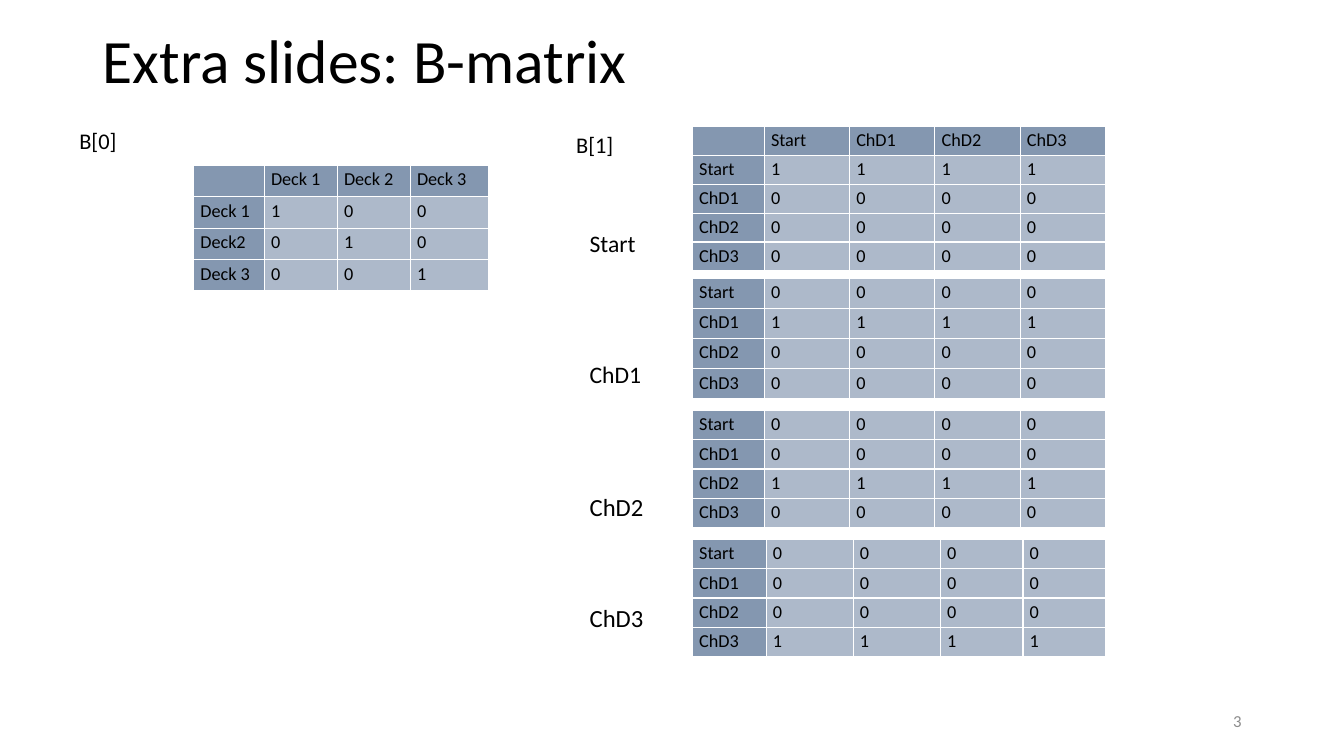
from dataclasses import dataclass

from pptx import Presentation
from pptx.dml.color import RGBColor
from pptx.enum.text import MSO_ANCHOR as Anchor, MSO_AUTO_SIZE as AutoSize, PP_ALIGN as Align
from pptx.util import Cm, Pt


@dataclass(frozen=True)
class Theme:
    """Colours, font and type sizes of the slide."""
    font: str = "Calibri"
    ink: str = "000000"
    muted: str = "8C8C8C"
    heading_fill: str = "8497B0"
    value_fill: str = "ADB9CA"
    title_size: float = 44
    label_size: float = 16
    state_size: float = 16.9
    large_state_size: float = 17.6
    table_size: float = 13
    number_size: float = 12


THEME = Theme()
DECKS = ["Deck 1", "Deck 2", "Deck 3"]
DECK_ROWS = ["Deck 1", "Deck2", "Deck 3"]
STATES = ["Start", "ChD1", "ChD2", "ChD3"]
DECK_COLUMNS = [1.78, 1.84, 1.84, 1.97]
STATE_COLUMNS = [1.81, 2.15, 2.15, 2.15, 2.15]
LAST_COLUMNS = [1.86, 2.19, 2.2, 2.08, 2.07]
ACTIONS = [
    (3.18, 0.73, STATE_COLUMNS, 5.51, 2.41, THEME.state_size),
    (7.01, 0.76, STATE_COLUMNS, 8.81, 2.13, THEME.state_size),
    (10.34, 0.74, STATE_COLUMNS, 12.12, 2.13, THEME.large_state_size),
    (13.59, 0.74, LAST_COLUMNS, 14.91, 2.13, THEME.large_state_size),
]


def style_paragraph(para, size, color=THEME.ink):
    """Apply the theme font to a paragraph."""
    para.font.name = THEME.font
    para.font.size = Pt(size)
    para.font.bold = False
    para.font.color.rgb = RGBColor.from_string(color)


def set_title(page, text):
    """Fill and place the title placeholder."""
    title = page.shapes.title
    title.left, title.top, title.width, title.height = Cm(2.33), Cm(-0.24), Cm(29.21), Cm(3.68)
    title.text_frame.text = text
    title.text_frame.vertical_anchor = Anchor.MIDDLE
    para = title.text_frame.paragraphs[0]
    para.alignment = Align.LEFT
    para.line_spacing = 0.9
    style_paragraph(para, THEME.title_size)


def add_label(page, text, left, top, width, size):
    """Add a one-line caption that grows with its text."""
    box = page.shapes.add_textbox(Cm(left), Cm(top), Cm(width), Cm(1.05))
    frame = box.text_frame
    frame.word_wrap = True
    frame.auto_size = AutoSize.SHAPE_TO_FIT_TEXT
    para = frame.paragraphs[0]
    para.text = text
    para.line_spacing = 1.2
    style_paragraph(para, size)


def add_page_number(page, number):
    """Add the page number at the bottom right."""
    box = page.shapes.add_textbox(Cm(23.92), Cm(17.65), Cm(7.62), Cm(1.01))
    box.text_frame.word_wrap = True
    box.text_frame.vertical_anchor = Anchor.MIDDLE
    para = box.text_frame.paragraphs[0]
    para.text = number
    para.alignment = Align.RIGHT
    style_paragraph(para, THEME.number_size, THEME.muted)


def fill_cell(cell, text, color):
    """Write and colour one table cell."""
    cell.margin_left = cell.margin_right = Cm(0.17)
    cell.margin_top = cell.margin_bottom = Cm(0.08)
    cell.fill.solid()
    cell.fill.fore_color.rgb = RGBColor.from_string(color)
    para = cell.text_frame.paragraphs[0]
    para.text = text
    style_paragraph(para, THEME.table_size)


def add_matrix(page, left, top, columns, row_height, headings, names, values):
    """Add a matrix table, with a heading row when headings are given."""
    rows = [[name, *line] for name, line in zip(names, values)]
    if headings:
        rows.insert(0, ["", *headings])
    frame = page.shapes.add_table(len(rows), len(columns), Cm(left), Cm(top),
                                  Cm(sum(columns)), Cm(row_height * len(rows)))
    table = frame.table
    table.horz_banding = False
    for column, width in zip(table.columns, columns):
        column.width = Cm(width)
    for r, row in enumerate(rows):
        table.rows[r].height = Cm(row_height)
        for c, value in enumerate(row):
            is_heading = c == 0 or (headings and r == 0)
            fill_cell(table.cell(r, c), str(value),
                      THEME.heading_fill if is_heading else THEME.value_fill)


def main():
    """Build the slide and save it."""
    deck = Presentation()
    deck.slide_width, deck.slide_height = Cm(33.87), Cm(19.05)
    page = deck.slides.add_slide(deck.slide_layouts[5])
    set_title(page, "Extra slides: B-matrix")
    add_page_number(page, "3")

    add_label(page, "B[0]", 1.75, 2.95, 1.52, THEME.label_size)
    identity = [[int(r == c) for c in range(len(DECKS))] for r in range(len(DECKS))]
    add_matrix(page, 4.88, 4.17, DECK_COLUMNS, 0.79, DECKS, DECK_ROWS, identity)

    add_label(page, "B[1]", 14.27, 3.05, 1.52, THEME.label_size)
    for target, action in enumerate(ACTIONS):
        top, row_height, columns, label_top, label_width, size = action
        moves = [[int(r == target)] * len(STATES) for r in range(len(STATES))]
        headings = STATES if target == 0 else None
        add_matrix(page, 17.45, top, columns, row_height, headings, STATES, moves)
        add_label(page, STATES[target], 14.61, label_top, label_width, size)

    deck.save("out.pptx")


if __name__ == "__main__":
    main()
